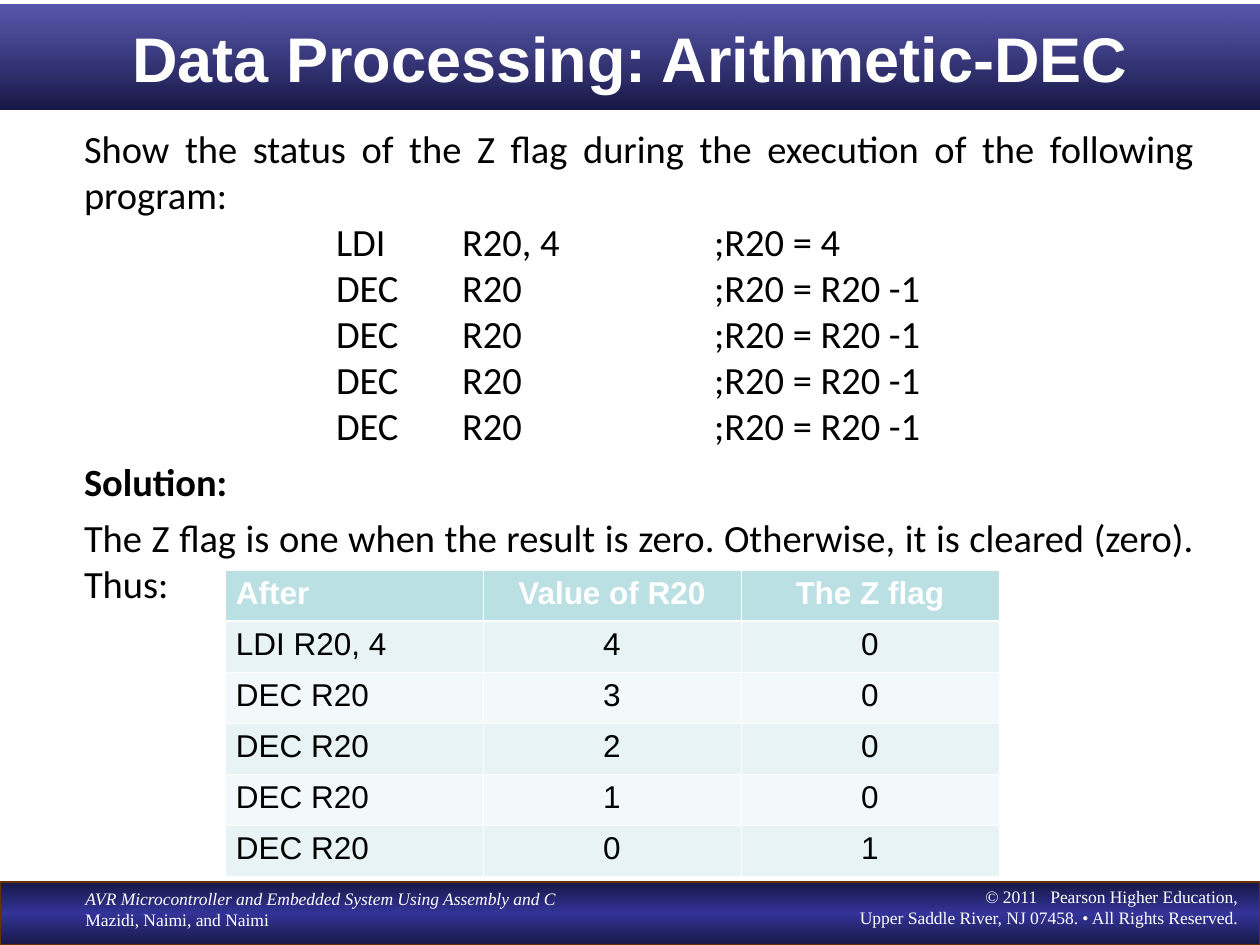
"""Build the slide on the DEC instruction and the Z flag."""
from dataclasses import dataclass

from lxml import etree
from pptx import Presentation
from pptx import util as u
from pptx.dml.color import RGBColor
from pptx.enum import shapes, text
from pptx.oxml.ns import qn

AL = text.PP_ALIGN


@dataclass(frozen=True)
class Theme:
    white: str = "FFFFFF"
    black: str = "000000"
    navy: str = "181847"
    blue: str = "333399"
    brown: str = "663300"
    header: str = "BBE0E3"
    bands: tuple = ("E7F3F4", "F3F9FA")
    sans: str = "Arial"
    body: str = "Calibri"
    serif: str = "Times New Roman"
    title_pt: int = 36
    body_pt: int = 22
    table_pt: int = 18
    footer_pt: int = 10


T = Theme()
TAB = 126
CODE = ["LDI\tR20, 4\t\t;R20 = 4"] + ["DEC\tR20\t\t;R20 = R20 -1"] * 4
ROWS = [("After", "Value of R20", "The Z flag"), ("LDI R20, 4", "4", "0")]
ROWS += [("DEC R20", str(n), str(int(n == 0))) for n in (3, 2, 1, 0)]


def px(n):
    """Turn slide pixels into EMU."""
    return u.Emu(round(n * 914400 / 126))


def sub(parent, tag, **attrs):
    """Add a drawing element with attributes."""
    el = etree.SubElement(parent, qn(tag))
    for name, value in attrs.items():
        el.set(name, str(value))
    return el


def place(sp, left, top, width, height):
    """Move and size a shape in pixels."""
    sp.left, sp.top, sp.width, sp.height = map(px, (left, top, width, height))


def write(p, words, *, size, font, color=T.black, bold=False, italic=False,
          align=AL.LEFT, before=0, left=0):
    """Fill a paragraph with formatted text."""
    p.text = words
    p.alignment = align
    p.space_before = u.Pt(before)
    pPr = p._p.get_or_add_pPr()
    for name, value in (("marL", left), ("indent", 0), ("defTabSz", TAB)):
        pPr.set(name, str(px(value)))
    sub(pPr, "a:buNone")
    for r in p.runs:
        f = r.font
        f.size, f.name, f.bold, f.italic = u.Pt(size), font, bold, italic
        f.color.rgb = RGBColor.from_string(color)


def gradient(sp, stops):
    """Fill a shape from top to bottom with (position, colour, opacity) stops."""
    sp.fill.gradient()
    sp.fill.gradient_angle = 270
    gs_list = sp._element.spPr.find(qn("a:gradFill")).find(qn("a:gsLst"))
    for gs in list(gs_list):
        gs_list.remove(gs)
    for pos, color, opacity in stops:
        clr = sub(sub(gs_list, "a:gs", pos=pos * 1000), "a:srgbClr", val=color)
        if opacity < 100:
            sub(clr, "a:alpha", val=opacity * 1000)


def add_footer_bar(s):
    """Draw the band at the foot of the slide."""
    sp = s.shapes.add_shape(shapes.MSO_SHAPE.RECTANGLE, 0, 0, 0, 0)
    place(sp, 0, 882, 1260, 63)
    sp.shadow.inherit = False
    gradient(sp, [(0, T.navy, 100), (50, T.blue, 100), (100, T.navy, 100)])
    sp.line.color.rgb = RGBColor.from_string(T.brown)
    sp.line.width = u.Pt(0.75)


def add_footer_text(s, box, lines, align):
    """Add footer lines given as (words, italic)."""
    sp = s.shapes.add_textbox(0, 0, 0, 0)
    place(sp, *box)
    tf = sp.text_frame
    tf.word_wrap = True
    for i, (words, italic) in enumerate(lines):
        p = tf.add_paragraph() if i else tf.paragraphs[0]
        write(p, words, size=T.footer_pt, font=T.serif, color=T.white,
              italic=italic, align=align)


def set_title(s, words):
    """Format the title placeholder as a shaded band."""
    sp = s.shapes.title
    place(sp, 0, 5, 1260, 105)
    gradient(sp, [(0, T.blue, 82), (100, T.navy, 100)])
    tf = sp.text_frame
    tf.auto_size = text.MSO_AUTO_SIZE.NONE
    tf.vertical_anchor = text.MSO_ANCHOR.MIDDLE
    write(tf.paragraphs[0], words, size=T.title_pt, font=T.sans,
          color=T.white, bold=True, align=AL.CENTER)


def set_body(s, items):
    """Fill the body placeholder with (words, format) items."""
    sp = s.placeholders[1]
    place(sp, 24, 119, 1183, 354)
    tf = sp.text_frame
    tf.auto_size = text.MSO_AUTO_SIZE.NONE
    tf.margin_left = px(60)
    for i, (words, fmt) in enumerate(items):
        p = tf.add_paragraph() if i else tf.paragraphs[0]
        write(p, words, size=T.body_pt, font=T.body, align=AL.JUSTIFY, **fmt)


def set_borders(cell, **widths):
    """Draw white cell borders with the given point widths."""
    tcPr = cell._tc.get_or_add_tcPr()
    for i, (side, width) in enumerate(widths.items()):
        ln = etree.Element(qn(f"a:ln{side}"), w=str(u.Pt(width)))
        sub(sub(ln, "a:solidFill"), "a:srgbClr", val=T.white)
        tcPr.insert(i, ln)


def add_flag_table(s, rows):
    """Add the table of register and flag values."""
    frame = s.shapes.add_table(len(rows), len(rows[0]), px(225), px(570),
                               px(774), px(51 * len(rows)))
    tbl = frame.table
    tbl.horz_banding = False
    for i, row in enumerate(rows):
        head = i == 0
        fill = T.header if head else T.bands[(i - 1) % 2]
        for j, words in enumerate(row):
            cell = tbl.cell(i, j)
            cell.fill.solid()
            cell.fill.fore_color.rgb = RGBColor.from_string(fill)
            set_borders(cell, L=0.45, R=0.45, T=1.47 if i == 1 else 0.45,
                        B=1.47 if head else 0.45)
            cell.margin_left = cell.margin_right = px(11)
            write(cell.text_frame.paragraphs[0], words, size=T.table_pt,
                  font=T.sans, color=T.white if head else T.black, bold=head,
                  align=AL.CENTER if j else AL.LEFT)


def main():
    """Build and save the slide."""
    prs = Presentation()
    prs.slide_width, prs.slide_height = px(1260), px(945)
    s = prs.slides.add_slide(prs.slide_layouts[1])
    add_footer_bar(s)
    add_footer_text(s, (73, 882, 522, 55), [
        ("AVR Microcontroller and Embedded System Using Assembly and C", True),
        ("Mazidi, Naimi, and Naimi", False)], AL.LEFT)
    add_footer_text(s, (725, 880, 525, 55), [
        ("© 2011   Pearson Higher Education,\v"
         "Upper Saddle River, NJ 07458. • All Rights Reserved.", False)], AL.RIGHT)
    set_title(s, "Data Processing: Arithmetic-DEC")
    set_body(s, [
        ("Show the status of the Z flag during the execution of the "
         "following program:", {}),
        *[(line, {"left": 2 * TAB}) for line in CODE],
        ("Solution:", {"bold": True, "before": 5.5}),
        ("The Z flag is one when the result is zero. Otherwise, it is "
         "cleared (zero). Thus:", {"before": 5.5})])
    add_flag_table(s, ROWS)
    prs.save("out.pptx")


if __name__ == "__main__":
    main()
